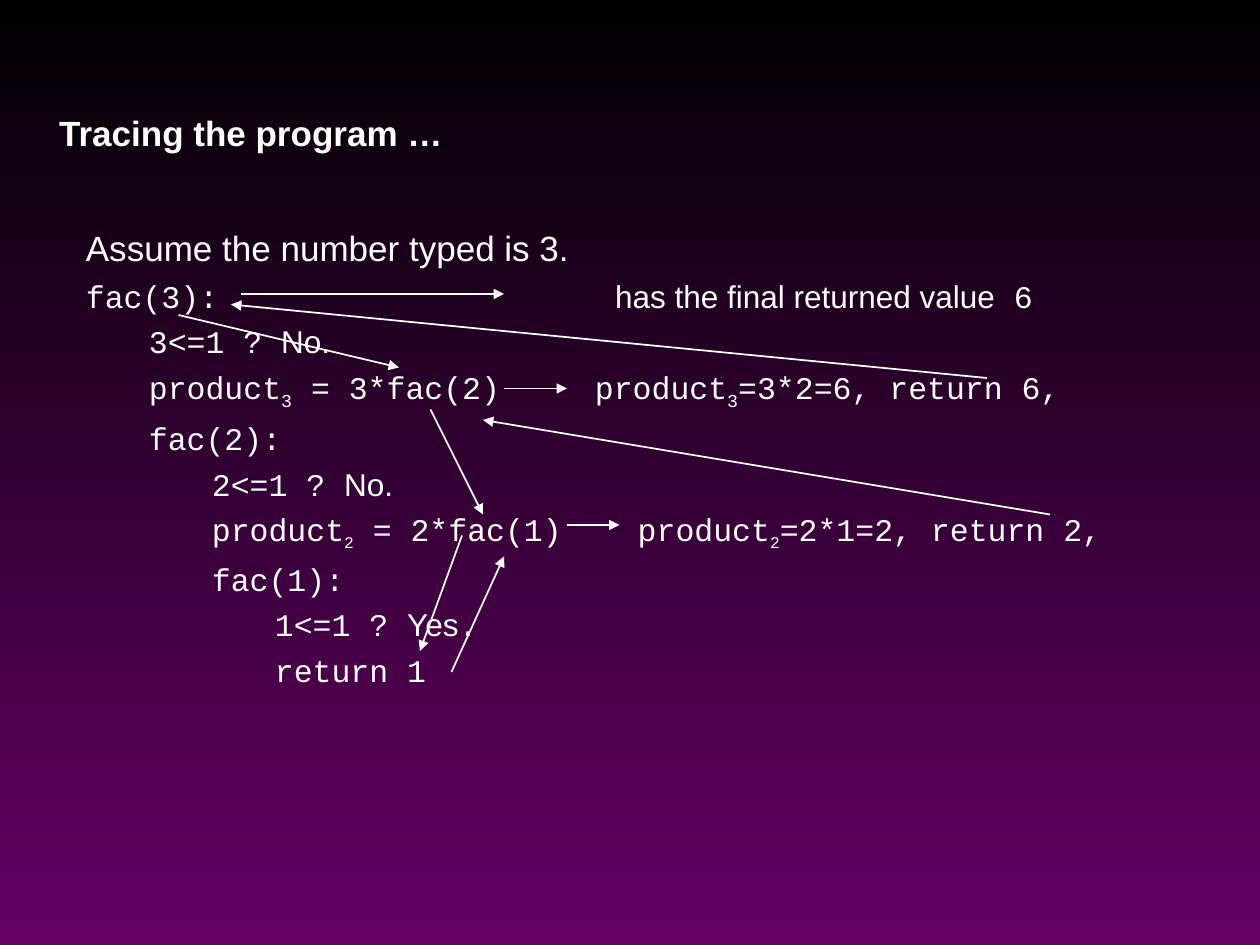
"""Slide that traces a recursive factorial call with arrows between the steps."""
from dataclasses import dataclass

from pptx import Presentation
from pptx import util as u
from pptx.dml.color import RGBColor
from pptx.enum import shapes, text
from pptx.oxml.ns import qn
from lxml import etree

WHITE = RGBColor(0xFF, 0xFF, 0xFF)
BLACK = RGBColor(0x00, 0x00, 0x00)
PURPLE = RGBColor(0x66, 0x00, 0x66)
SANS, MONO = "Arial", "Courier New"
CELL = u.Inches(1) // 12
STEP = u.Inches(0.5)


@dataclass(frozen=True)
class Run:
    text: str
    font: str = MONO
    size: float = 18
    bold: bool = False
    sub: bool = False


@dataclass(frozen=True)
class Line:
    runs: tuple[Run, ...]
    level: int = 0
    stops: tuple[float, ...] = ()


@dataclass(frozen=True)
class Arrow:
    start: tuple[int, int]
    end: tuple[int, int]


def product_line(n: int, sub_size: float, stops: tuple[float, ...]) -> Line:
    """Describe the step that multiplies n by the next call's result."""
    sub = Run(str(n), size=sub_size, sub=True)
    return Line((Run("\tproduct"), sub, Run(f" = {n}*fac({n - 1})\tproduct"), sub,
                 Run(f"={n}*{n - 1}={n * (n - 1)}, return {n * (n - 1)},")), stops=stops)


TITLE = (Line((Run("Tracing the program …", SANS, 20, bold=True),)),)
TRACE = (
    Line((Run("Assume the number typed is 3.", SANS, 20),)),
    Line((Run("fac(3):\t"), Run("has the final returned value", SANS), Run(" 6")),
         stops=(4.2,)),
    Line((Run("3<=1 ? "), Run("No.", SANS)), 1),
    product_line(3, 18, (0.5, 4.04)),
    Line((Run("fac(2):"),), 1),
    Line((Run("2<=1 ? "), Run("No.", SANS)), 2),
    product_line(2, 16, (1, 4.38)),
    Line((Run("fac(1):"),), 2),
    Line((Run("1<=1 ? "), Run("Yes", SANS), Run(".")), 3),
    Line((Run("return 1"),), 3),
)
ARROWS = (
    Arrow((43, 64), (48, 53)),
    Arrow((54, 50), (59, 50)),
    Arrow((100, 49), (46, 40)),
    Arrow((48, 37), (54, 37)),
    Arrow((94, 36), (22, 29)),
    Arrow((23, 28), (48, 28)),
    Arrow((17, 30), (38, 35)),
    Arrow((41, 39), (46, 49)),
    Arrow((44, 51), (40, 62)),
)


def cells(*values: float) -> list[int]:
    """Convert grid cells to lengths."""
    return [round(value * CELL) for value in values]


def add_text(slide, box: tuple[float, ...], lines: tuple[Line, ...], *,
             wrap: bool = True, before: float = 4.5) -> None:
    """Add a text box whose lines start at a margin or at tab stops."""
    tf = slide.shapes.add_textbox(*cells(*box)).text_frame
    tf.word_wrap = wrap
    tf.vertical_anchor = text.MSO_ANCHOR.TOP
    for i, line in enumerate(lines):
        p = tf.paragraphs[0] if i == 0 else tf.add_paragraph()
        p_pr = p._p.get_or_add_pPr()
        if i:
            p.space_before = u.Pt(before)
        if line.level:
            p_pr.set("marL", str(line.level * STEP))
        if line.stops:
            tabs = etree.SubElement(p_pr, qn("a:tabLst"))
            for stop in line.stops:
                etree.SubElement(tabs, qn("a:tab"), pos=str(u.Inches(stop)), algn="l")
        for run in line.runs:
            r = p.add_run()
            r.text = run.text
            r.font.name = run.font
            r.font.size = u.Pt(run.size)
            r.font.bold = run.bold
            r.font.color.rgb = WHITE
            if run.sub:
                r._r.get_or_add_rPr().set("baseline", "-25000")


def add_arrow(slide, arrow: Arrow) -> None:
    """Draw a thin white line with a triangle at its end."""
    sp = slide.shapes.add_connector(
        shapes.MSO_CONNECTOR.STRAIGHT, *cells(*arrow.start, *arrow.end))
    sp.line.color.rgb = WHITE
    sp.line.width = u.Pt(1)
    etree.SubElement(sp.line._get_or_add_ln(), qn("a:tailEnd"), type="triangle")
    etree.SubElement(sp._element.spPr, qn("a:effectLst"))


def main() -> None:
    """Build and save the slide."""
    prs = Presentation()
    prs.slide_width, prs.slide_height = cells(120, 90)
    slide = prs.slides.add_slide(prs.slide_layouts[6])
    fill = slide.background.fill
    fill.gradient()
    fill.gradient_angle = 270
    for stop, color, position in zip(fill.gradient_stops, (BLACK, PURPLE), (0, 1)):
        stop.color.rgb = color
        stop.position = position
    add_text(slide, (7, 21, 108, 62), TRACE)
    add_text(slide, (4.45, 10, 48, 5.3), TITLE, wrap=False)
    for arrow in ARROWS:
        add_arrow(slide, arrow)
    prs.save("out.pptx")


if __name__ == "__main__":
    main()
